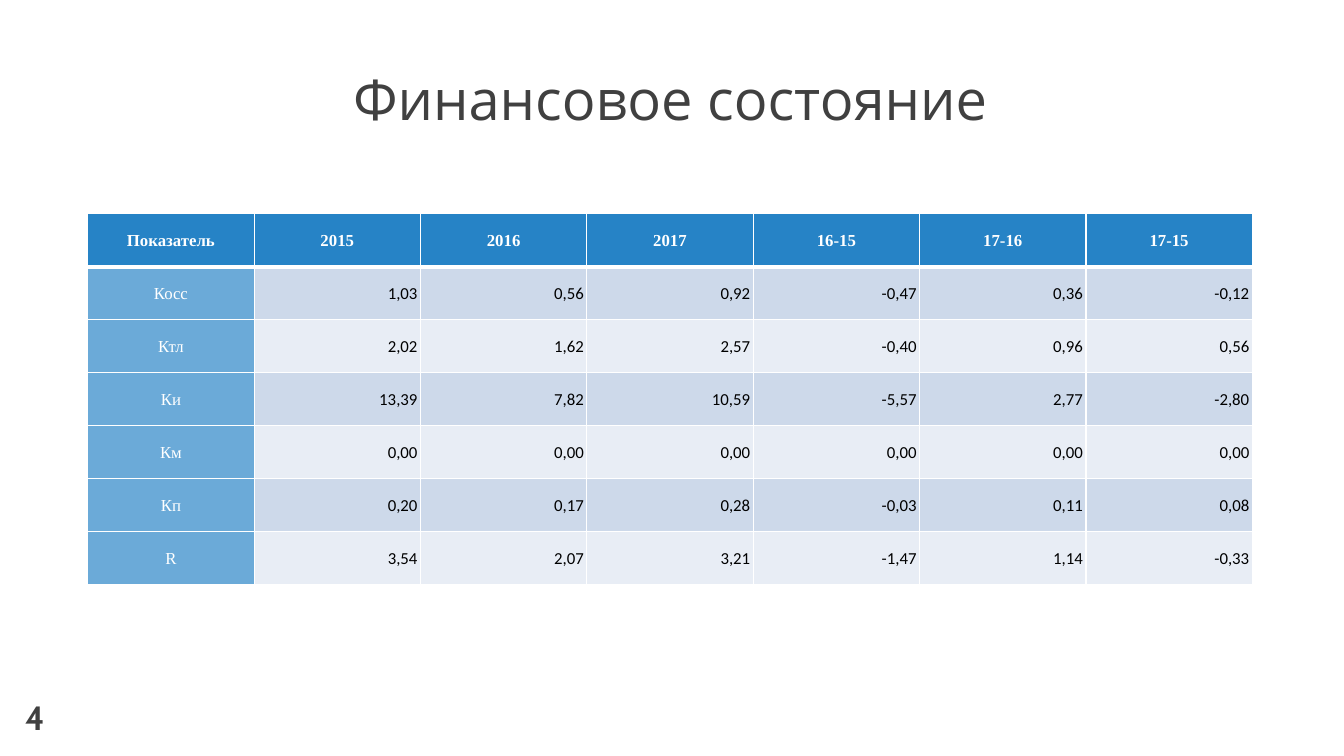
from lxml import etree
from pptx import Presentation
from pptx import util as u
from pptx.dml.color import RGBColor
from pptx.enum import text
from pptx.oxml import ns

WHITE = RGBColor(0xFF, 0xFF, 0xFF)
BLACK = RGBColor(0x00, 0x00, 0x00)
GRAY = RGBColor(0x40, 0x40, 0x40)
BLUE = RGBColor(0x26, 0x83, 0xC6)
BANDS = (RGBColor(0xCD, 0xD9, 0xEA), RGBColor(0xE8, 0xED, 0xF5))

HEADER = ("Показатель", "2015", "2016", "2017", "16-15", "17-16", "17-15")
RATIOS = (
    ("Косс", "1,03", "0,56", "0,92", "-0,47", "0,36", "-0,12"),
    ("Ктл", "2,02", "1,62", "2,57", "-0,40", "0,96", "0,56"),
    ("Ки", "13,39", "7,82", "10,59", "-5,57", "2,77", "-2,80"),
    ("Км", "0,00", "0,00", "0,00", "0,00", "0,00", "0,00"),
    ("Кп", "0,20", "0,17", "0,28", "-0,03", "0,11", "0,08"),
    ("R", "3,54", "2,07", "3,21", "-1,47", "1,14", "-0,33"),
)


def share_box(prs, left, top, width, height):
    """Turn percentages of the slide's size into a box of lengths."""
    across, down = prs.slide_width / 100, prs.slide_height / 100
    return [u.Emu(round(n)) for n in (left * across, top * down, width * across, height * down)]


def style_paragraph(p, size, font, color, bold=False, align=text.PP_ALIGN.LEFT, spacing=1.0):
    """Set the font, alignment and line spacing of a paragraph."""
    p.font.size, p.font.name, p.font.bold = u.Pt(size), font, bold
    p.font.color.rgb = color
    p.alignment, p.line_spacing = align, spacing


def add_label(s, box, wording, anchor, wrap, **style):
    """Place one line of text in the box."""
    tf = s.shapes.add_textbox(*box).text_frame
    tf.word_wrap, tf.vertical_anchor = wrap, anchor
    tf.text = wording
    style_paragraph(tf.paragraphs[0], **style)


def set_borders(cell, widths):
    """Draw white borders with the given left, right, top and bottom widths."""
    tc_pr = cell._tc.get_or_add_tcPr()
    for i, (side, width) in enumerate(zip("LRTB", widths)):
        ln = etree.Element(ns.qn(f"a:ln{side}"), w=str(u.Pt(width)))
        fill = etree.SubElement(ln, ns.qn("a:solidFill"))
        etree.SubElement(fill, ns.qn("a:srgbClr"), val=str(WHITE))
        tc_pr.insert(i, ln)


def fill_cell(cell, color, opacity=100):
    """Fill a cell with a colour at the given percentage of opacity."""
    cell.fill.solid()
    cell.fill.fore_color.rgb = color
    if opacity < 100:
        clr = cell._tc.tcPr.find(".//" + ns.qn("a:srgbClr"))
        etree.SubElement(clr, ns.qn("a:alpha"), val=str(opacity * 1000))


def add_ratio_table(s, box):
    """Place the table of financial ratios in the box."""
    rows = (HEADER, *RATIOS)
    table = s.shapes.add_table(len(rows), len(HEADER), *box).table
    table.first_col = True
    for r, row in enumerate(rows):
        for c, value in enumerate(row):
            cell = table.cell(r, c)
            is_head, is_label = r == 0, r == 0 or c == 0
            if is_label:
                fill_cell(cell, BLUE, 100 if is_head else 68)
            else:
                fill_cell(cell, BANDS[(r - 1) % 2])
            set_borders(cell, (1, 1, 3 if r == 1 else 1, 3 if is_head else 1))
            cell.margin_left = cell.margin_right = u.Inches(0.03)
            cell.margin_top = cell.margin_bottom = 0
            cell.vertical_anchor = text.MSO_ANCHOR.MIDDLE
            cell.text = value
            style_paragraph(
                cell.text_frame.paragraphs[0],
                size=12,
                font="Times New Roman" if is_label else "Calibri",
                color=WHITE if is_label else BLACK,
                bold=is_head,
                align=text.PP_ALIGN.CENTER if is_label else text.PP_ALIGN.RIGHT,
                spacing=1.07,
            )


def main():
    """Build the slide and save it."""
    prs = Presentation()
    prs.slide_width, prs.slide_height = u.Inches(13.33), u.Inches(7.5)
    s = prs.slides.add_slide(prs.slide_layouts[6])
    add_label(s, share_box(prs, 6.53, 1.73, 86.65, 16.53), "Финансовое состояние",
              text.MSO_ANCHOR.BOTTOM, True, size=40, font="Open Sans", color=GRAY,
              align=text.PP_ALIGN.CENTER, spacing=0.9)
    add_ratio_table(s, share_box(prs, 6.53, 28.27, 86.65, 49.07))
    add_label(s, share_box(prs, 1.13, 91.47, 2.78, 6.67), "4",
              text.MSO_ANCHOR.TOP, False, size=24, font="Cabin", color=GRAY, bold=True)
    prs.save("out.pptx")


if __name__ == "__main__":
    main()
